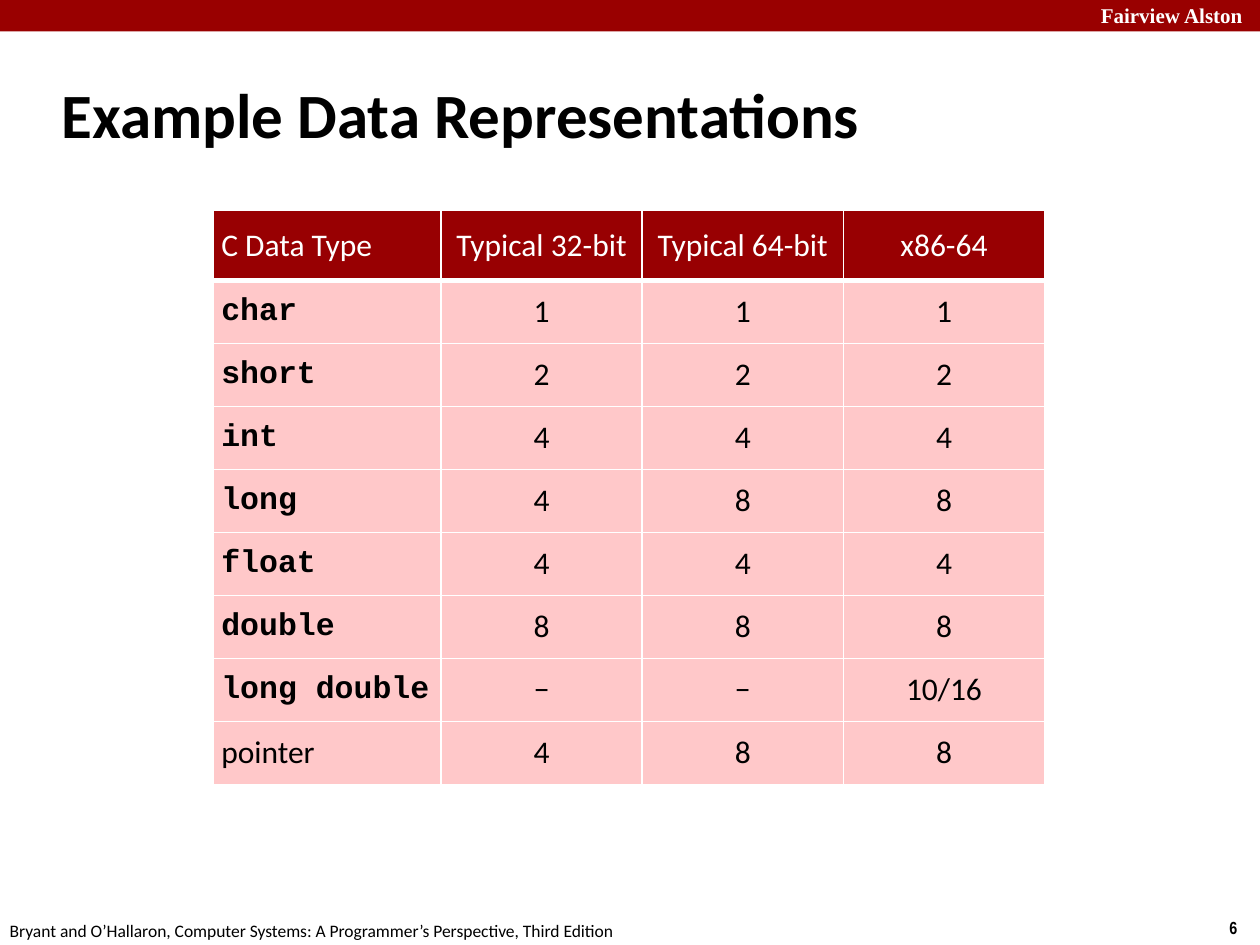
from lxml.etree import SubElement
from pptx import Presentation
from pptx.dml.color import RGBColor
from pptx.enum.shapes import MSO_SHAPE as Shape
from pptx.enum.text import MSO_ANCHOR as Anchor, MSO_AUTO_SIZE as Fit, PP_ALIGN as Align
from pptx.oxml.ns import qn
from pptx.util import Pt

RED, HEAD, PINK = "990000", "980002", "FFC8C9"
BLACK, WHITE = "000000", "FFFFFF"
BODY, CODE = "Calibri", "Courier New"

ROWS = [
    ("C Data Type", "Typical 32-bit", "Typical 64-bit", "x86-64"),
    ("char", "1", "1", "1"),
    ("short", "2", "2", "2"),
    ("int", "4", "4", "4"),
    ("long", "4", "8", "8"),
    ("float", "4", "4", "4"),
    ("double", "8", "8", "8"),
    ("long double", "−", "−", "10/16"),
    ("pointer", "4", "8", "8"),
]


def tint(code):
    return RGBColor.from_string(code)


def style(para, size, font=BODY, color=BLACK, bold=False):
    for run in para.runs:
        run.font.size = Pt(size)
        run.font.name = font
        run.font.bold = bold
        run.font.color.rgb = tint(color)


def border(cell, **widths):
    """Draw white cell edges; widths maps L, R, T and B to points."""
    props = cell._tc.get_or_add_tcPr()
    for spot, side in enumerate("LRTB"):
        line = SubElement(props, qn("a:ln" + side), w=str(Pt(widths.get(side, 1))))
        fill = SubElement(line, qn("a:solidFill"))
        SubElement(fill, qn("a:srgbClr"), val=WHITE)
        props.insert(spot, line)


class Deck:
    def __init__(self, width, height):
        self.prs = Presentation()
        self.prs.slide_width, self.prs.slide_height = Pt(width), Pt(height)
        self.slide = self.prs.slides.add_slide(self.prs.slide_layouts[5])

    def bar(self, x, y, w, h, color):
        bar = self.slide.shapes.add_shape(Shape.RECTANGLE, Pt(x), Pt(y), Pt(w), Pt(h))
        bar.shadow.inherit = False
        bar.fill.solid()
        bar.fill.fore_color.rgb = tint(color)
        bar.line.fill.background()

    def label(self, x, y, w, h, text, wrap=False, **look):
        box = self.slide.shapes.add_textbox(Pt(x), Pt(y), Pt(w), Pt(h))
        frame = box.text_frame
        frame.text = text
        frame.word_wrap = wrap
        frame.auto_size = Fit.SHAPE_TO_FIT_TEXT
        style(frame.paragraphs[0], **look)

    def title(self, x, y, w, h, text):
        box = self.slide.shapes.title
        box.left, box.top, box.width, box.height = Pt(x), Pt(y), Pt(w), Pt(h)
        frame = box.text_frame
        frame.text = text
        frame.auto_size = Fit.NONE
        frame.vertical_anchor = Anchor.MIDDLE
        para = frame.paragraphs[0]
        para.alignment = Align.LEFT
        props = para._p.get_or_add_pPr()
        props.set("marL", str(Pt(9.5)))
        props.set("indent", str(Pt(-9.5)))
        style(para, 36, bold=True)

    def table(self, x, y, cols, heights, rows):
        grid = self.slide.shapes.add_table(
            len(rows), len(cols), Pt(x), Pt(y), Pt(sum(cols)), Pt(sum(heights))
        ).table
        for col, width in zip(grid.columns, cols):
            col.width = Pt(width)
        for r, row in enumerate(rows):
            grid.rows[r].height = Pt(heights[r])
            for c, text in enumerate(row):
                self.cell(grid.cell(r, c), r, c, text)

    def cell(self, cell, r, c, text):
        code = r > 0 and c == 0 and text != "pointer"
        cell.text = text
        cell.vertical_anchor = Anchor.MIDDLE
        cell.margin_left = cell.margin_right = Pt(4.5)
        cell.margin_top = cell.margin_bottom = Pt(4.5)
        cell.fill.solid()
        cell.fill.fore_color.rgb = tint(PINK if r else HEAD)
        para = cell.text_frame.paragraphs[0]
        para.alignment = Align.CENTER if c else Align.LEFT
        style(para, 18, CODE if code else BODY, BLACK if r else WHITE, code)
        border(cell, T=3 if r == 1 else 1, B=1 if r else 3)


def main():
    deck = Deck(720, 540)
    deck.bar(0, 0, 720, 18, RED)
    deck.label(622, -2, 103, 21.5, "Fairview Alston", wrap=True,
               size=12, font="Times New Roman", color=WHITE, bold=True)
    deck.label(695.5, 520.5, 24.5, 19.5, "6", size=10, font="Arial Narrow", bold=True)
    deck.label(-1.5, 522, 366, 19.5,
               "Bryant and O’Hallaron, Computer Systems: "
               "A Programmer’s Perspective, Third Edition", size=10)
    deck.title(28, 34.5, 597.5, 60, "Example Data Representations")
    deck.table(122, 120.25, [130] + [115] * 3, [40] + [36] * 8, ROWS)
    deck.prs.save("out.pptx")


if __name__ == "__main__":
    main()
